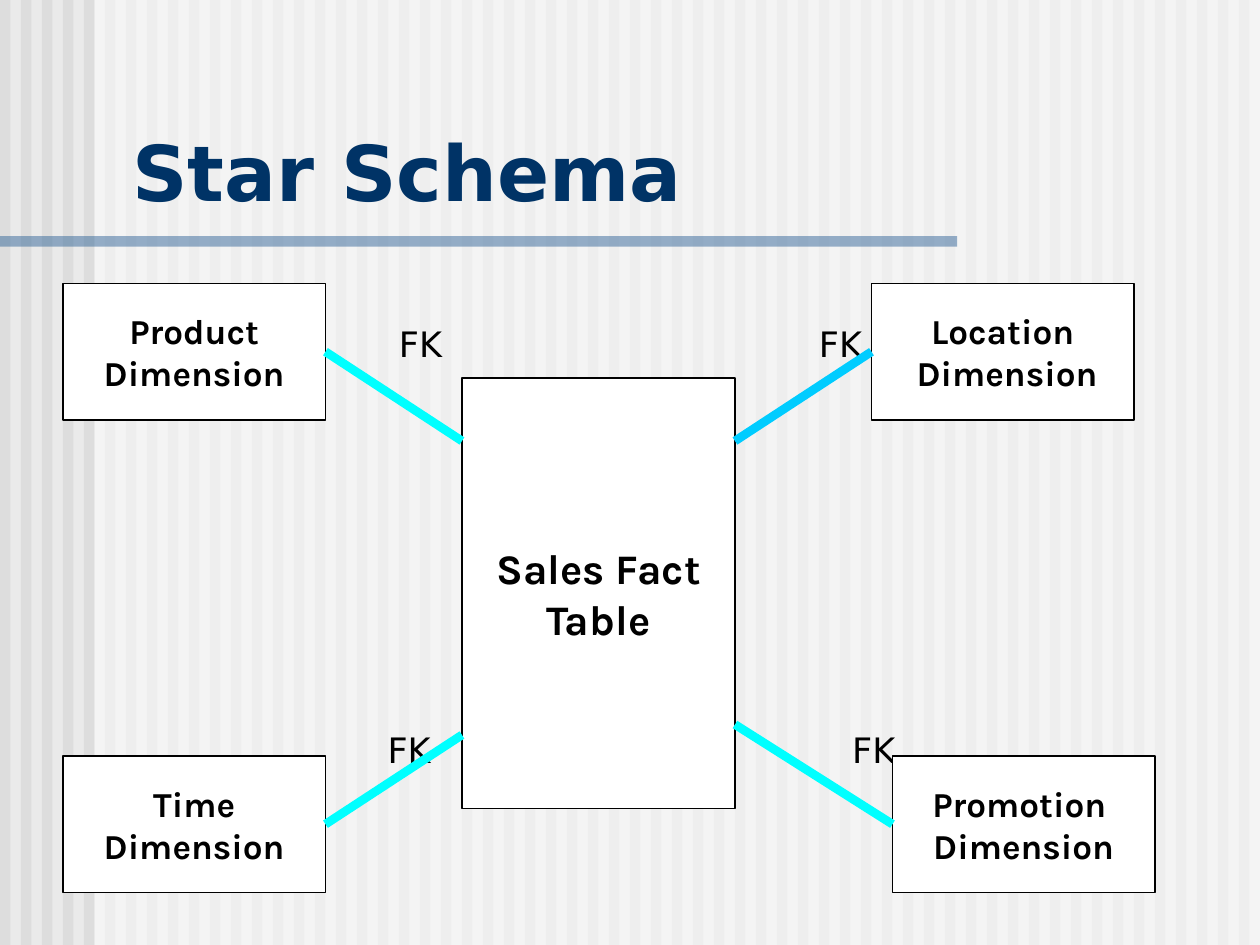
"""Build the Star Schema slide: a fact table joined to four dimension tables."""
from lxml import etree
from pptx import Presentation
from pptx.dml.color import RGBColor
from pptx.enum.shapes import MSO_CONNECTOR, MSO_SHAPE
from pptx.enum.text import MSO_ANCHOR, PP_ALIGN
from pptx.oxml.ns import qn
from pptx.util import Pt

RECTANGLE = MSO_SHAPE.RECTANGLE
STRAIGHT = MSO_CONNECTOR.STRAIGHT
MIDDLE, BOTTOM = MSO_ANCHOR.MIDDLE, MSO_ANCHOR.BOTTOM
LEFT, CENTER = PP_ALIGN.LEFT, PP_ALIGN.CENTER

PALE_GRAY = RGBColor(0xEA, 0xEA, 0xEA)
STRIPE_GRAY = RGBColor(0xDD, 0xDD, 0xDD)
WHITE = RGBColor(0xFF, 0xFF, 0xFF)
BLACK = RGBColor(0x00, 0x00, 0x00)
NAVY = RGBColor(0x00, 0x33, 0x66)
STEEL_BLUE = RGBColor(0x33, 0x66, 0x99)
CYAN = RGBColor(0x00, 0xFF, 0xFF)
SKY_BLUE = RGBColor(0x00, 0xCC, 0xFF)

LEFT_SIDE, RIGHT_SIDE = 1, 3


def add_rectangle(shapes, left, top, width, height, color):
    shape = shapes.add_shape(RECTANGLE, Pt(left), Pt(top), Pt(width), Pt(height))
    shape.shadow.inherit = False
    shape.fill.solid()
    shape.fill.fore_color.rgb = color
    shape.line.fill.background()
    return shape


def write_lines(shape, lines, font_name, size, color, bold, alignment, anchor):
    frame = shape.text_frame
    frame.vertical_anchor = anchor
    for index, line in enumerate(lines):
        paragraph = frame.add_paragraph() if index else frame.paragraphs[0]
        paragraph.alignment = alignment
        run = paragraph.add_run()
        run.text = line
        run.font.name = font_name
        run.font.size = Pt(size)
        run.font.bold = bold
        run.font.color.rgb = color


presentation = Presentation()
presentation.slide_width, presentation.slide_height = Pt(720), Pt(540)
slide = presentation.slides.add_slide(presentation.slide_layouts[5])
shapes = slide.shapes
slide.background.fill.solid()
slide.background.fill.fore_color.rgb = PALE_GRAY

backdrop = shapes.add_group_shape()
for stripe in range(60):
    add_rectangle(backdrop.shapes, stripe * 12, 0, 6, 540, STRIPE_GRAY)
veil = add_rectangle(backdrop.shapes, 54, 0, 666, 540, WHITE)
title_rule = add_rectangle(backdrop.shapes, 0, 135, 547, 6, STEEL_BLUE)
for shape in (veil, title_rule):
    color_element = shape.element.spPr.find(qn("a:solidFill"))[0]
    etree.SubElement(color_element, qn("a:alpha"), val="50000")
slide.slide_layout.shapes.element.insert(2, backdrop.element)

title = shapes.title
title.left, title.top, title.width, title.height = Pt(68.4), Pt(67.7), Pt(643), Pt(59.8)
write_lines(title, ["Star Schema"], "DejaVu Sans", 44, NAVY, True, LEFT, BOTTOM)

for left, top in ((228, 184), (468, 184), (221.5, 416), (487, 416)):
    label = shapes.add_textbox(Pt(left), Pt(top), Pt(30), Pt(24))
    frame = label.text_frame
    frame.word_wrap = True
    frame.margin_left = frame.margin_right = frame.margin_top = frame.margin_bottom = 0
    write_lines(label, ["FK"], "DejaVu Sans", 20, BLACK, False, LEFT, MIDDLE)

tables = [
    (["Sales Fact", "Table"], 264, 216, 156, 246, 24),
    (["Location", " Dimension"], 498, 162, 150, 78, 20),
    (["Promotion ", "Dimension"], 510, 432, 150, 78, 20),
    (["Product", "Dimension"], 36, 162, 150, 78, 20),
    (["Time", "Dimension"], 36, 432, 150, 78, 20),
]
table_boxes = []
for lines, left, top, width, height, size in tables:
    box = add_rectangle(shapes, left, top, width, height, WHITE)
    box.line.color.rgb = BLACK
    box.line.width = Pt(0.75)
    box.text_frame.word_wrap = False
    write_lines(box, lines, "Karla", size, BLACK, True, CENTER, MIDDLE)
    table_boxes.append(box)

fact, location, promotion, product, time = table_boxes
links = [
    (product, RIGHT_SIDE, 264, 252, CYAN),
    (location, LEFT_SIDE, 420, 252, SKY_BLUE),
    (time, RIGHT_SIDE, 264, 420, CYAN),
    (promotion, LEFT_SIDE, 420, 414, CYAN),
]
for dimension, side, end_left, end_top, color in links:
    link = shapes.add_connector(STRAIGHT, 0, 0, Pt(end_left), Pt(end_top))
    link.begin_connect(dimension, side)
    link.line.color.rgb = color
    link.line.width = Pt(5)
    etree.SubElement(link.element.spPr, qn("a:effectLst"))

presentation.save("out.pptx")
